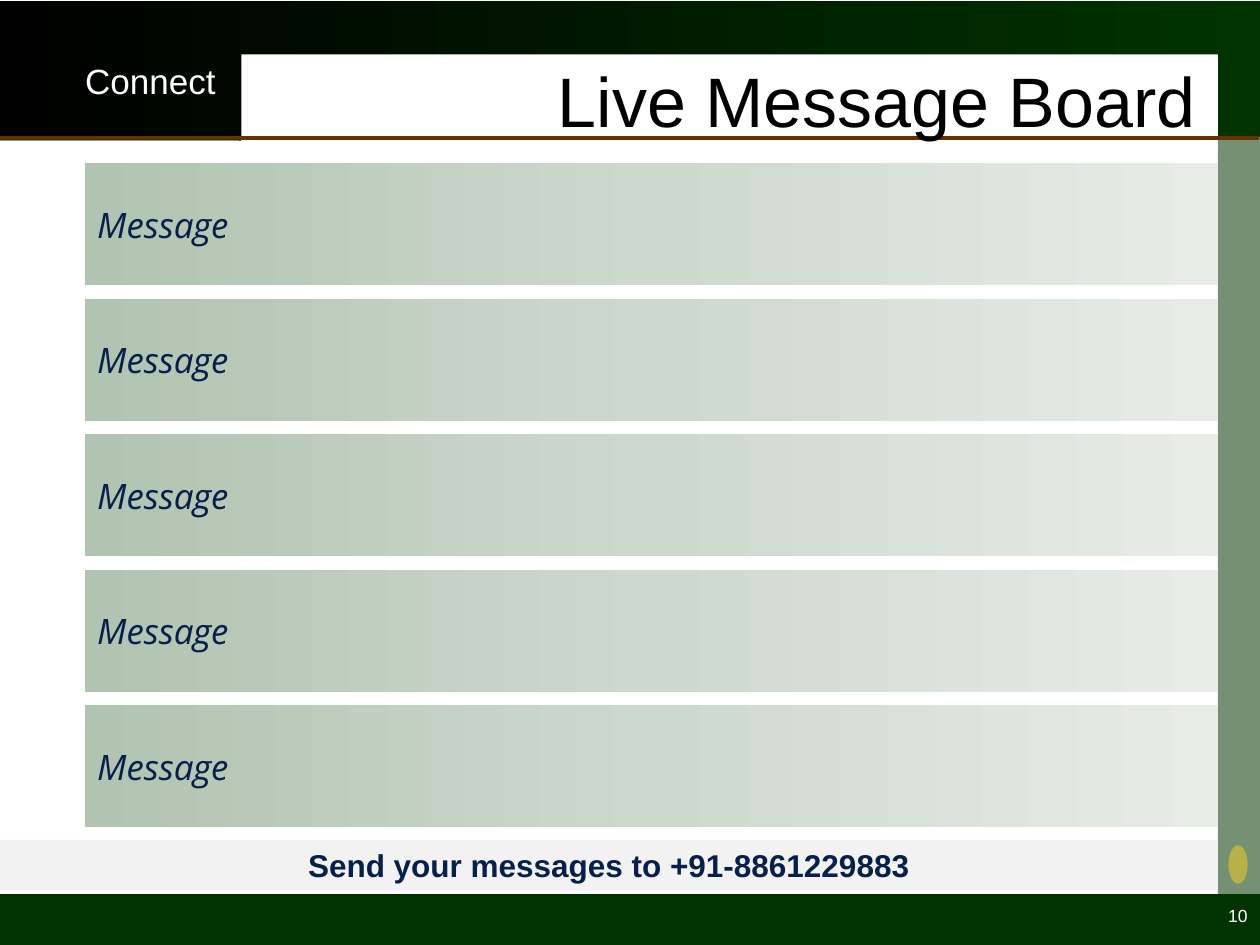
from dataclasses import dataclass
from typing import Optional

from lxml import etree
from pptx import Presentation
from pptx import util as u
from pptx.dml.color import RGBColor
from pptx.enum import shapes, text
from pptx.oxml import ns

Pt = u.Pt
BLACK = RGBColor(0x00, 0x00, 0x00)
WHITE = RGBColor(0xFF, 0xFF, 0xFF)
GREEN = RGBColor(0x00, 0x33, 0x00)
BROWN = RGBColor(0x66, 0x33, 0x00)
NAVY = RGBColor(0x07, 0x20, 0x4B)
GREY = RGBColor(0xF2, 0xF2, 0xF2)
GOLD = RGBColor(0xB8, 0xB0, 0x48)
SAGE = RGBColor(0xB1, 0xC3, 0xB1)
MIST = RGBColor(0xCE, 0xD9, 0xCE)
PALE = RGBColor(0xE7, 0xEC, 0xE7)

HEAD = ((0, BLACK), (100, GREEN))
FADE = ((0, SAGE), (50, MIST), (100, PALE))
ALIGN = text.PP_ALIGN
MID = text.MSO_ANCHOR.MIDDLE
TOP = text.MSO_ANCHOR.TOP
RECT = shapes.MSO_SHAPE.RECTANGLE
OVAL = shapes.MSO_SHAPE.OVAL


@dataclass
class Box:
    left: float
    top: float
    width: float
    height: float


@dataclass
class Panel:
    box: Box
    color: Optional[RGBColor] = None
    fade: tuple = ()
    alpha: int = 100
    edge: Optional[RGBColor] = None
    kind: shapes.MSO_SHAPE = RECT


@dataclass
class Label:
    words: str
    size: float
    color: RGBColor
    align: text.PP_ALIGN = ALIGN.LEFT
    anchor: text.MSO_ANCHOR = MID
    face: str = "Arial"
    bold: bool = False
    italic: bool = False
    inset: tuple = (7.2, 3.6, 7.2, 3.6)


def assign(item, values: dict) -> None:
    for name, value in values.items():
        setattr(item, name, value)


def blend(shape, stops: tuple) -> None:
    """Fill a shape with a left-to-right gradient of any number of stops."""
    shape.fill.gradient()
    shape.fill.gradient_angle = 0
    group = shape.element.spPr.find(".//" + ns.qn("a:gsLst"))
    for old in list(group):
        group.remove(old)
    for place, color in stops:
        stop = etree.SubElement(group, ns.qn("a:gs"), pos=str(place * 1000))
        etree.SubElement(stop, ns.qn("a:srgbClr"), val=str(color))


def draw(slide, panel: Panel):
    box = panel.box
    shape = slide.shapes.add_shape(
        panel.kind, Pt(box.left), Pt(box.top), Pt(box.width), Pt(box.height))
    shape.shadow.inherit = False
    if panel.fade:
        blend(shape, panel.fade)
    else:
        shape.fill.solid()
        shape.fill.fore_color.rgb = panel.color
    if panel.alpha < 100:
        tint = shape.element.spPr.find(".//" + ns.qn("a:srgbClr"))
        etree.SubElement(tint, ns.qn("a:alpha"), val=str(panel.alpha * 1000))
    if panel.edge is None:
        shape.line.fill.background()
    else:
        shape.line.color.rgb = panel.edge
        shape.line.width = Pt(0.75)
    return shape


def write(shape, label: Label) -> None:
    frame = shape.text_frame
    left, top, right, bottom = label.inset
    assign(frame, {
        "word_wrap": True, "vertical_anchor": label.anchor,
        "margin_left": Pt(left), "margin_top": Pt(top),
        "margin_right": Pt(right), "margin_bottom": Pt(bottom)})
    para = frame.paragraphs[0]
    para.alignment = label.align
    run = para.add_run()
    run.text = label.words
    assign(run.font, {"name": label.face, "size": Pt(label.size),
                      "bold": label.bold, "italic": label.italic})
    run.font.color.rgb = label.color


def note(slide, box: Box, label: Label) -> None:
    write(slide.shapes.add_textbox(
        Pt(box.left), Pt(box.top), Pt(box.width), Pt(box.height)), label)


def rule(slide, left: float, right: float, top: float) -> None:
    line = slide.shapes.add_connector(
        shapes.MSO_CONNECTOR.STRAIGHT, Pt(left), Pt(top), Pt(right), Pt(top))
    line.line.color.rgb = BROWN
    line.line.width = Pt(2.25)
    etree.SubElement(line.element.spPr, ns.qn("a:effectLst"))


def main() -> None:
    deck = Presentation()
    deck.slide_width, deck.slide_height = Pt(720), Pt(540)
    slide = deck.slides.add_slide(deck.slide_layouts[6])

    # Frame: header, footer, side strip and title field
    for panel in (
        Panel(Box(0, 0.7, 720, 77.8), fade=HEAD),
        Panel(Box(0, 511, 720, 30), GREEN),
        Panel(Box(696, 18.7, 24, 510), GREEN, alpha=54),
        Panel(Box(138, 31, 558, 54), WHITE),
    ):
        draw(slide, panel)
    rule(slide, -0.7, 719.3, 79)
    draw(slide, Panel(Box(-0.7, 79, 138, 12), GREEN, alpha=48, edge=BROWN))
    note(slide, Box(34, 34, 104, 28),
         Label("Connect", 20, WHITE, ALIGN.CENTER, TOP,
               inset=(7.2, 0, 7.2, 3.6)))

    # Plain emblem and page number
    draw(slide, Panel(Box(702, 483, 11, 22), GOLD, kind=OVAL))
    note(slide, Box(648, 510, 72, 26), Label("10", 10, WHITE, ALIGN.RIGHT))

    # Title
    draw(slide, Panel(Box(0, 80.6, 150, 15), WHITE))
    note(slide, Box(150, 36, 540, 42),
         Label("Live Message Board", 40, BLACK, ALIGN.RIGHT))

    # Message bars
    entry = Label("Message", 20, NAVY, face="Open Sans", italic=True,
                  inset=(7.2, 14.4, 7.2, 14.4))
    first, pitch = 93.3, 77.4
    for row in range(5):
        bar = Box(48.5, first + row * pitch, 647.5, 69.8)
        write(draw(slide, Panel(bar, fade=FADE)), entry)

    # Call to action
    strip = draw(slide, Panel(Box(0, 480, 695.8, 29), GREY))
    write(strip, Label("Send your messages to +91-8861229883", 18, NAVY,
                       ALIGN.CENTER, bold=True))

    deck.save("out.pptx")


if __name__ == "__main__":
    main()
